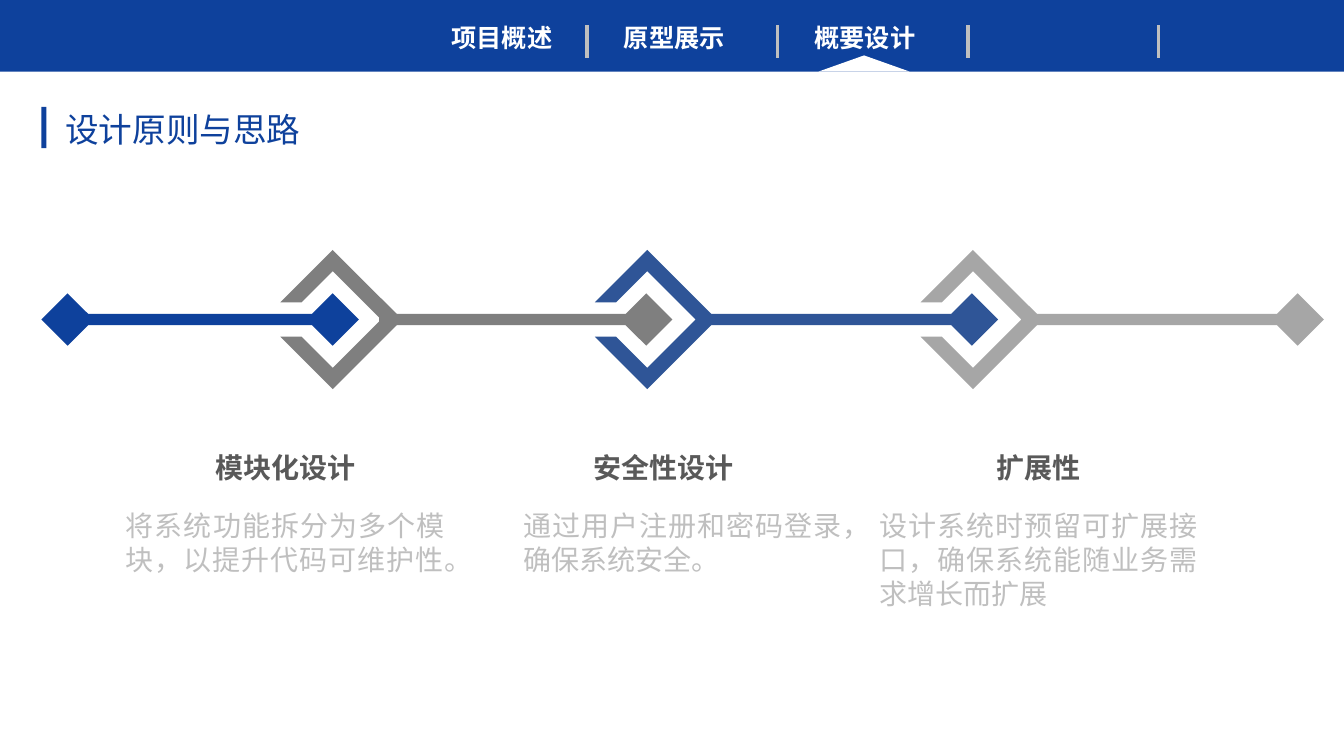
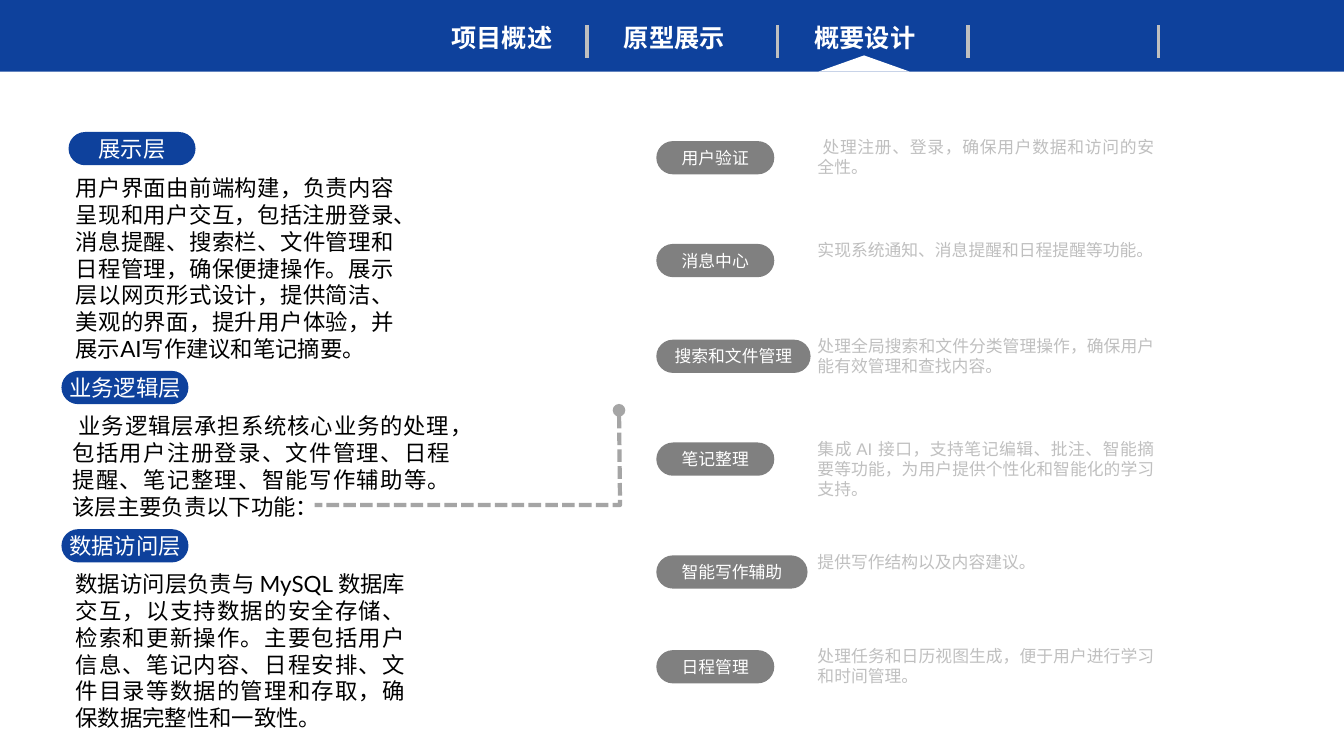
from dataclasses import dataclass

from lxml.etree import SubElement
from pptx import Presentation
from pptx.dml.color import RGBColor
from pptx.enum.dml import MSO_LINE
from pptx.enum.lang import MSO_LANGUAGE_ID
from pptx.enum.shapes import MSO_CONNECTOR, MSO_SHAPE
from pptx.enum.text import MSO_ANCHOR, PP_ALIGN
from pptx.oxml.ns import qn
from pptx.util import Inches, Pt


@dataclass(frozen=True)
class Theme:
    blue: str = "0E419C"
    steel: str = "2F5597"
    grey: str = "7F7F7F"
    silver: str = "A6A6A6"
    dash: str = "A5A5A5"
    pill: str = "808080"
    heading: str = "595959"
    pale: str = "BFBFBF"
    white: str = "FFFFFF"
    black: str = "000000"
    font: str = "Arial"
    layer_font: str = "Lato"
    chinese_font: str = "Noto Sans CJK SC"
    title_size: int = 24
    large: int = 20
    nav_size: int = 18
    medium: int = 16
    small: int = 12


THEME = Theme()
WIDTH, HEIGHT = 13.33, 7.5

SECTIONS = [("项目概述", 4.38), ("原型展示", 6.09), ("概要设计", 7.98)]

PRINCIPLES = [
    ("模块化设计", 1.4, "将系统功能拆分为多个模块，以提升代码可维护性。", 1.15),
    ("安全性设计", 5.15, "通过用户注册和密码登录，确保系统安全。", 5.09),
    ("扩展性", 8.87, "设计系统时预留可扩展接口，确保系统能随业务需求增长而扩展", 8.62),
]

# Name, pill left and top, text, text box (left, top, width, height), first-line indent
LAYERS = [
    ("展示层", 0.68, 1.31,
     "用户界面由前端构建，负责内容呈现和用户交互，包括注册登录、消息提醒、搜索栏、"
     "文件管理和日程管理，确保便捷操作。展示层以网页形式设计，提供简洁、美观的界面，"
     "提升用户体验，并展示AI写作建议和笔记摘要。",
     (0.72, 1.69, 3.22, 1.94), 0),
    ("业务逻辑层", 0.61, 3.68,
     "业务逻辑层承担系统核心业务的处理，包括用户注册登录、文件管理、日程提醒、"
     "笔记整理、智能写作辅助等。该层主要负责以下功能：",
     (0.69, 4.06, 3.81, 1.13), 0.06),
    ("数据访问层", 0.61, 5.25,
     "数据访问层负责与 MySQL 数据库交互，以支持数据的安全存储、检索和更新操作。"
     "主要包括用户信息、笔记内容、日程安排、文件目录等数据的管理和存取，"
     "确保数据完整性和一致性。",
     (0.72, 5.94, 3.33, 1.03), 0),
]

# Name, pill width, text, top, first-line indent
FUNCTIONS = [
    ("用户验证", 1.17, "处理注册、登录，确保用户数据和访问的安全性。", 1.31, 0.05),
    ("消息中心", 1.17, "实现系统通知、消息提醒和日程提醒等功能。", 2.33, 0),
    ("搜索和文件管理", 1.53, "处理全局搜索和文件分类管理操作，确保用户能有效管理和查找内容。", 3.28, 0),
    ("笔记整理", 1.17, "集成 AI 接口，支持笔记编辑、批注、智能摘要等功能，为用户提供个性化和智能化的学习支持。", 4.3, 0),
    ("智能写作辅助", 1.5, "提供写作结构以及内容建议。", 5.42, 0),
    ("日程管理", 1.17, "处理任务和日历视图生成，便于用户进行学习和时间管理。", 6.36, 0),
]


def rgb(colour):
    return RGBColor.from_string(colour)


def write(shape, text, size, colour, font=THEME.font, bold=False,
          align=PP_ALIGN.LEFT, wrap=True, margin=None, middle=False, indent=0):
    """Put one formatted paragraph in a shape and return it."""
    frame = shape.text_frame
    frame.text = text
    frame.word_wrap = wrap
    frame.vertical_anchor = MSO_ANCHOR.MIDDLE if middle else MSO_ANCHOR.TOP
    if margin is not None:
        frame.margin_left = frame.margin_right = Inches(margin)
        frame.margin_top = frame.margin_bottom = Inches(margin)
    para = frame.paragraphs[0]
    para.alignment = align
    if indent:
        para._p.get_or_add_pPr().set("indent", str(Inches(indent)))
    for span in para.runs:
        span.font.name = font
        span.font.size = Pt(size)
        span.font.bold = bold
        span.font.color.rgb = rgb(colour)
        span.font.language_id = MSO_LANGUAGE_ID.SIMPLIFIED_CHINESE
        east_asian = SubElement(span._r.get_or_add_rPr(), qn("a:ea"))
        east_asian.set("typeface", THEME.chinese_font)
    return para


def add_text(slide, box, text, size, colour, **style):
    shape = slide.shapes.add_textbox(*map(Inches, box))
    return write(shape, text, size, colour, **style)


def paint(shape, colour):
    shape.shadow.inherit = False
    shape.fill.solid()
    shape.fill.fore_color.rgb = rgb(colour)
    shape.line.fill.background()


def add_block(slide, kind, box, colour):
    shape = slide.shapes.add_shape(kind, *map(Inches, box))
    paint(shape, colour)
    return shape


def add_pill(slide, left, top, width, text, size, colour):
    pill = add_block(slide, MSO_SHAPE.ROUNDED_RECTANGLE, (left, top, width, 0.33), colour)
    pill.adjustments[0] = 0.5
    write(pill, text, size, THEME.white, align=PP_ALIGN.CENTER,
          wrap=False, margin=0.03, middle=True)


def outline(slide, points, close=True):
    corners = [(Inches(x), Inches(y)) for x, y in points]
    builder = slide.shapes.build_freeform(*corners[0])
    builder.add_line_segments(corners[1:], close=close)
    return builder.convert_to_shape()


def add_ring(slide, x, y, colour):
    """Diamond ring centred on x, y, open on its left side."""
    outer, inner, gap = 0.69, 0.48, 0.17
    upper = [(-outer + gap, -gap), (-inner + gap, -gap), (0, -inner)]
    lower = [(dx, -dy) for dx, dy in reversed(upper)]
    points = [(0, -outer), *upper, (inner, 0), *lower, (0, outer), (outer, 0)]
    paint(outline(slide, [(x + dx, y + dy) for dx, dy in points]), colour)


def add_link(slide, start, end, y, colour, both_ends=False):
    """Bar from start to a diamond centred on end, with a second diamond on request."""
    tip, bar = 0.26, 0.055
    neck = tip - bar
    points = [(end - neck, y - bar), (end, y - tip), (end + tip, y),
              (end, y + tip), (end - neck, y + bar)]
    if both_ends:
        points += [(start + neck, y + bar), (start, y + tip), (start - tip, y),
                   (start, y - tip), (start + neck, y - bar)]
    else:
        points += [(start, y + bar), (start, y - bar)]
    paint(outline(slide, points), colour)


def add_navigation(slide):
    add_block(slide, MSO_SHAPE.RECTANGLE, (0, 0, WIDTH, 0.71), THEME.blue)
    for name, left in SECTIONS:
        add_text(slide, (left, 0.17, 1.21, 0.4), name, THEME.nav_size, THEME.white,
                 font=THEME.chinese_font, bold=True, wrap=False)
    for index in range(4):
        x = Inches(5.82 + 1.89 * index)
        divider = slide.shapes.add_connector(
            MSO_CONNECTOR.STRAIGHT, x, Inches(0.25), x, Inches(0.58))
        divider.line.color.rgb = rgb(THEME.pale)
        divider.line.width = Pt(2.5)
        SubElement(divider._element.spPr, qn("a:effectLst"))
    add_block(slide, MSO_SHAPE.ISOSCELES_TRIANGLE, (8.12, 0.55, 0.9, 0.16), THEME.white)


def add_title(slide, left, top, text):
    add_block(slide, MSO_SHAPE.RECTANGLE, (left, top + 0.03, 0.05, 0.41), THEME.blue)
    add_text(slide, (left + 0.14, top, 2.53, 0.5), text, THEME.title_size,
             THEME.blue, wrap=False)


def add_chain(slide, y):
    add_link(slide, 0.67, 3.3, y, THEME.blue, both_ends=True)
    rings = [(3.3, 3.76, THEME.grey), (6.42, 6.99, THEME.steel), (9.65, 10.22, THEME.silver)]
    for x, _, colour in rings:
        add_ring(slide, x, y, colour)
    for _, start, colour in rings:
        add_link(slide, start, start + 2.65, y, colour)


def add_principles(slide, top):
    for name, name_left, text, text_left in PRINCIPLES:
        para = add_text(slide, (name_left, top, 2.86, 0.4), name, THEME.large,
                        THEME.heading, bold=True, align=PP_ALIGN.CENTER)
        para.line_spacing = 0.9
        add_text(slide, (text_left, top + 0.54, 3.36, 1.11), text, THEME.large,
                 THEME.pale, align=PP_ALIGN.JUSTIFY)


def add_layers(slide):
    for name, left, top, text, box, indent in LAYERS:
        add_text(slide, box, text, THEME.medium, THEME.black, font=THEME.layer_font,
                 align=PP_ALIGN.JUSTIFY, margin=0.03, middle=True, indent=indent)
        add_pill(slide, left, top, 1.26, name, THEME.medium, THEME.blue)


def add_dashed_route(slide, points):
    route = outline(slide, points, close=False)
    route.shadow.inherit = False
    route.fill.background()
    route.line.color.rgb = rgb(THEME.dash)
    route.line.width = Pt(3)
    route.line.dash_style = MSO_LINE.SQUARE_DOT
    SubElement(route.line._get_or_add_ln(), qn("a:headEnd")).set("type", "oval")


def add_functions(slide, left):
    for name, width, text, top, indent in FUNCTIONS:
        add_text(slide, (left + 1.5, top, 3.54, 0.5), text, THEME.small, THEME.pale,
                 align=PP_ALIGN.JUSTIFY, indent=indent)
        add_pill(slide, left, top + 0.09, width, name, THEME.small, THEME.pill)


def build_principles_slide(slide):
    add_chain(slide, 3.17)
    add_principles(slide, 4.46)
    add_title(slide, 0.41, 1.03, "设计原则与思路")


def build_architecture_slide(slide):
    add_layers(slide)
    add_dashed_route(slide, [(6.14, 4.07), (6.15, 5.01), (3.12, 5.01)])
    add_functions(slide, 6.51)


def main():
    deck = Presentation()
    deck.slide_width, deck.slide_height = Inches(WIDTH), Inches(HEIGHT)
    for build in (build_principles_slide, build_architecture_slide):
        slide = deck.slides.add_slide(deck.slide_layouts[6])
        build(slide)
        add_navigation(slide)
    deck.save("out.pptx")


if __name__ == "__main__":
    main()
